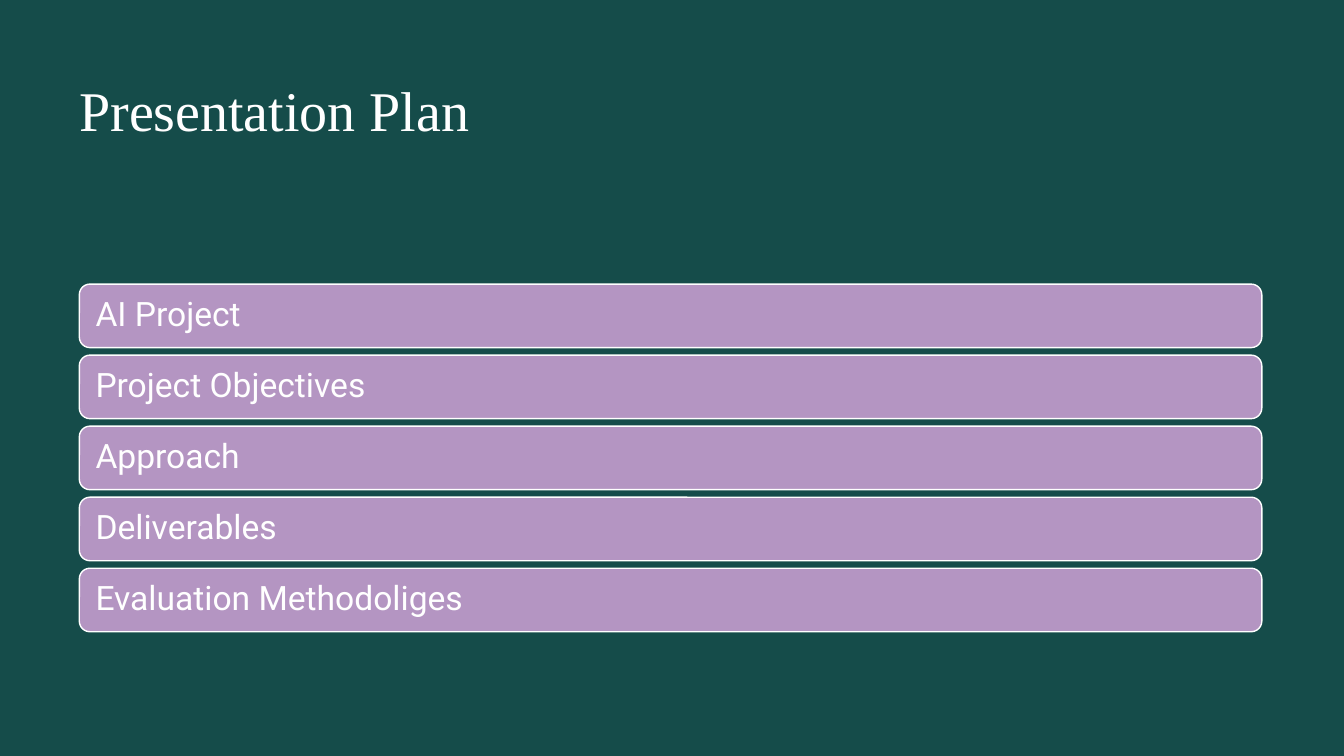
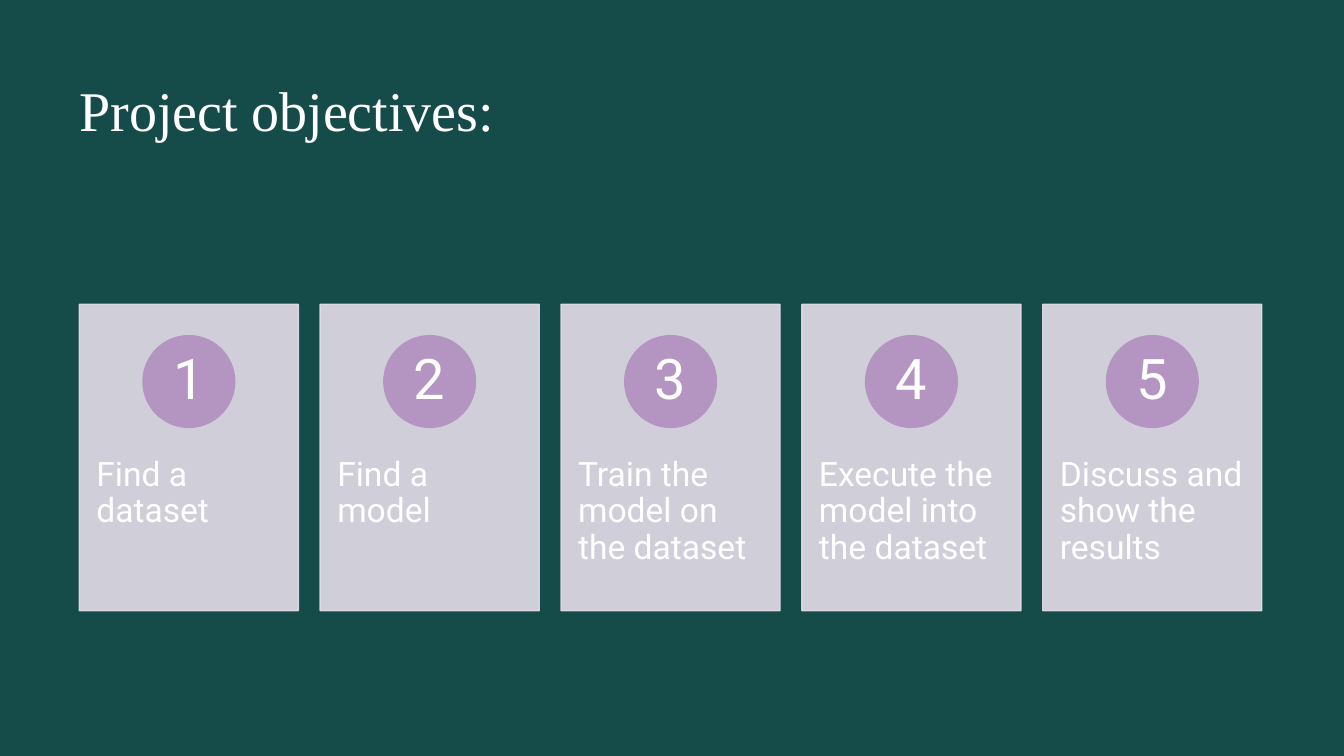
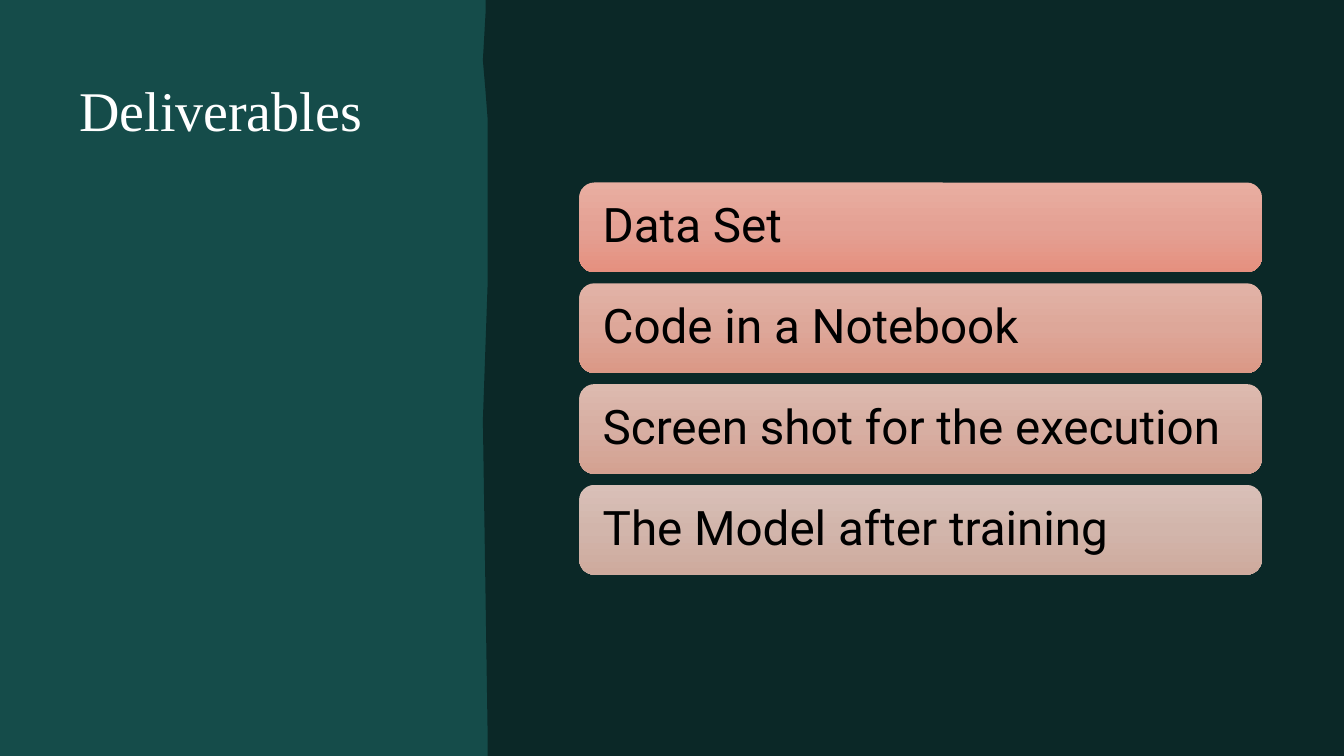
from copy import deepcopy
from dataclasses import dataclass

from lxml.etree import SubElement
from pptx import Presentation
from pptx.dml.color import RGBColor
from pptx.enum.shapes import MSO_SHAPE
from pptx.enum.text import MSO_ANCHOR, MSO_AUTO_SIZE, PP_ALIGN
from pptx.oxml.ns import qn
from pptx.util import Cm, Pt


@dataclass(frozen=True)
class Theme:
    background: str = "154C4A"
    dark_panel: str = "0B2827"
    lilac: str = "B495C2"
    card: str = "E5DDE9"
    light_text: str = "FFFFFF"
    dark_text: str = "000000"
    title_font: str = "Times New Roman"
    body_font: str = "Roboto"
    title_size: int = 40
    number_size: int = 40
    large_size: int = 34
    body_size: int = 24


theme = Theme()


def write_text(shape, text, font, size, color, spacing, alignment, anchor, margins):
    frame = shape.text_frame
    frame.word_wrap = True
    frame.auto_size = MSO_AUTO_SIZE.NONE
    frame.vertical_anchor = anchor
    frame.margin_left = frame.margin_right = Cm(margins[0])
    frame.margin_top, frame.margin_bottom = Cm(margins[1]), Cm(0)
    paragraph = frame.paragraphs[0]
    paragraph.alignment = alignment
    paragraph.line_spacing = spacing
    run = paragraph.add_run()
    run.text = text
    run.font.name = font
    run.font.size = Pt(size)
    run.font.color.rgb = RGBColor.from_string(color)


def add_panel(slide, kind, box, fill, line, text, size, color,
              alignment=PP_ALIGN.LEFT, anchor=MSO_ANCHOR.MIDDLE, margins=(0, 0)):
    shape = slide.shapes.add_shape(kind, *(Cm(length) for length in box))
    shape.shadow.inherit = False
    if fill:
        shape.fill.solid()
        shape.fill.fore_color.rgb = RGBColor.from_string(fill)
    if line:
        shape.line.color.rgb = RGBColor.from_string(line)
        shape.line.width = Pt(1)
    else:
        shape.line.fill.background()
    write_text(shape, text, theme.body_font, size, color, 0.9, alignment, anchor, margins)
    return shape


presentation = Presentation()
presentation.slide_width, presentation.slide_height = Cm(33.87), Cm(19.05)
master_fill = presentation.slide_master.background.fill
master_fill.solid()
master_fill.fore_color.rgb = RGBColor.from_string(theme.background)

left, content_width = 2, 29.8
slides = []
for title_text, title_width, title_height in [
    ("Presentation Plan", content_width, 4.11),
    ("Project objectives:", content_width, 4.11),
    ("Deliverables", 8.64, 15.32),
]:
    slide = presentation.slides.add_slide(presentation.slide_layouts[5])
    title = slide.shapes.title
    title.left, title.top = Cm(left), Cm(1.73)
    title.width, title.height = Cm(title_width), Cm(title_height)
    write_text(title, title_text, theme.title_font, theme.title_size, theme.light_text,
               1.1, PP_ALIGN.LEFT, MSO_ANCHOR.TOP, (0, 0))
    slides.append(slide)
plan_slide, objectives_slide, deliverables_slide = slides

plan_items = ["AI Project", "Project Objectives", "Approach", "Deliverables",
              "Evaluation Methodoliges"]
for index, item in enumerate(plan_items):
    add_panel(plan_slide, MSO_SHAPE.ROUNDED_RECTANGLE,
              (left, 7.16 + index * 1.79, content_width, 1.6),
              theme.lilac, theme.light_text, item, theme.body_size, theme.light_text,
              margins=(0.33, 0))

objectives = ["Find a dataset", "Find a model", "Train the model on the dataset",
              "Execute the model into the dataset", "Discuss and show the results"]
card_width, card_height, card_top, circle_size = 5.52, 7.72, 7.67, 2.31
card_pitch = (content_width - card_width) / (len(objectives) - 1)
for index, objective in enumerate(objectives):
    card_left = left + index * card_pitch
    card = add_panel(objectives_slide, MSO_SHAPE.RECTANGLE,
                     (card_left, card_top, card_width, card_height),
                     theme.card, theme.card, objective, theme.body_size, theme.light_text,
                     anchor=MSO_ANCHOR.TOP, margins=(0.43, 3.86))
    for color_element in card._element.spPr.iter(qn("a:srgbClr")):
        SubElement(color_element, qn("a:alpha"), val="90000")
    add_panel(objectives_slide, MSO_SHAPE.OVAL,
              (card_left + (card_width - circle_size) / 2, card_top + 0.79,
               circle_size, circle_size),
              theme.lilac, theme.lilac, str(index + 1), theme.number_size,
              theme.light_text, alignment=PP_ALIGN.CENTER)

panel_outline = [(3387, 0), (3387, 1905), (1229, 1905), (1229, 1852), (1217, 1059),
                 (1229, 714), (1229, 300), (1223, 222), (1217, 152), (1224, 28)]
builder = deliverables_slide.shapes.build_freeform(1224, 0, scale=Cm(0.01))
builder.add_line_segments(panel_outline, close=True)
dark_panel = builder.convert_to_shape()
dark_panel.shadow.inherit = False
dark_panel.fill.solid()
dark_panel.fill.fore_color.rgb = RGBColor.from_string(theme.dark_panel)
dark_panel.line.fill.background()

deliverables = [
    ("Data Set", ["E9AEA1", "E4A194", "E5907F"]),
    ("Code in a Notebook", ["E2B3A7", "DDA799", "DB9886"]),
    ("Screen shot for the execution", ["DDBAAF", "D7AEA2", "D4A191"]),
    ("The Model after training", ["D9C0B8", "D2B5AB", "CEAA9D"]),
]
for index, (deliverable, gradient_colors) in enumerate(deliverables):
    bar = add_panel(deliverables_slide, MSO_SHAPE.ROUNDED_RECTANGLE,
                    (14.6, 4.6 + index * 2.54, 17.2, 2.26),
                    None, None, deliverable, theme.large_size, theme.dark_text,
                    margins=(0.48, 0))
    bar.fill.gradient()
    bar.fill.gradient_angle = 270
    stop_list = next(bar._element.spPr.iter(qn("a:gsLst")))
    stop_list.insert(1, deepcopy(stop_list[0]))
    for stop, position, color in zip(bar.fill.gradient_stops, (0, 0.5, 1), gradient_colors):
        stop.position = position
        stop.color.rgb = RGBColor.from_string(color)

presentation.save("out.pptx")
